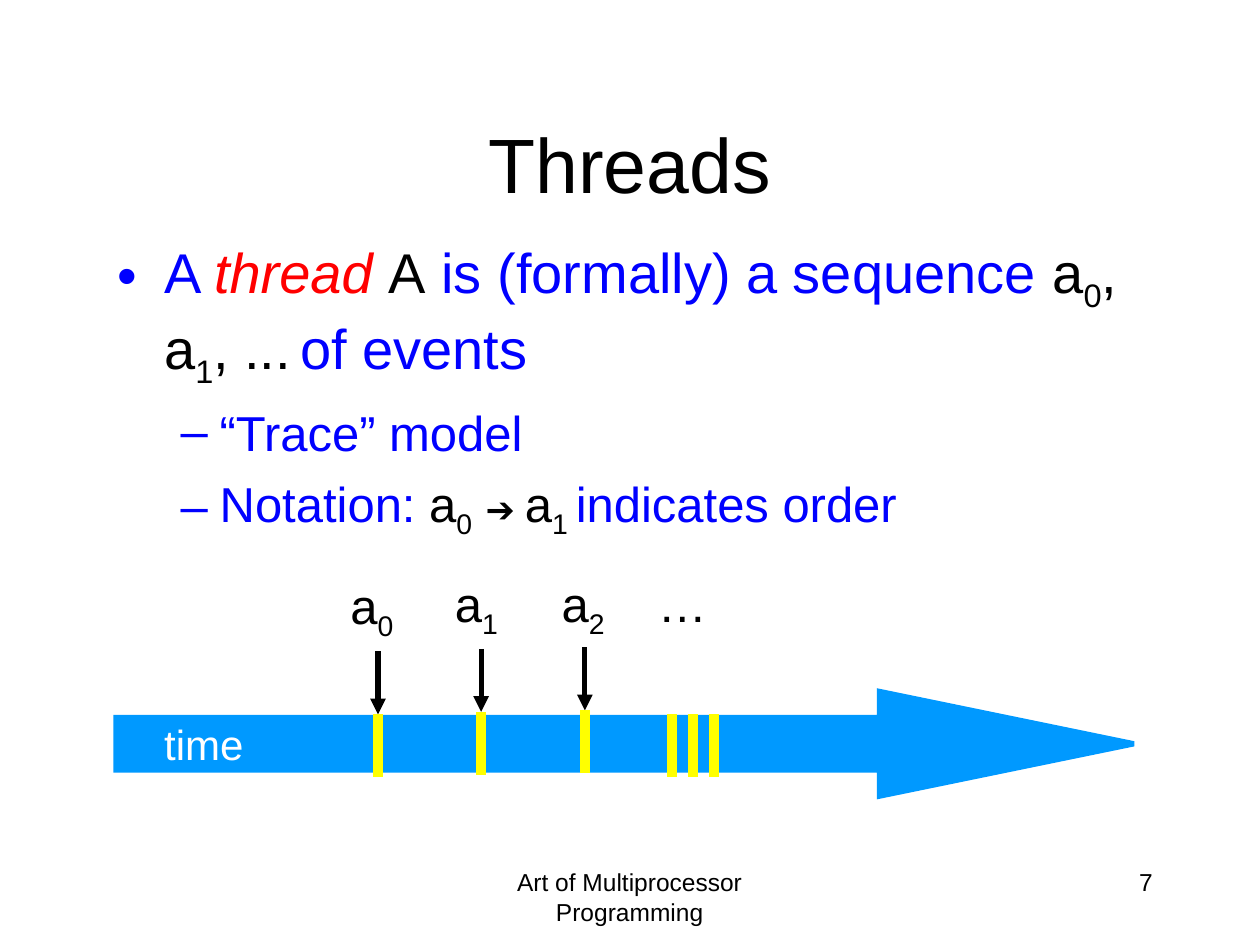
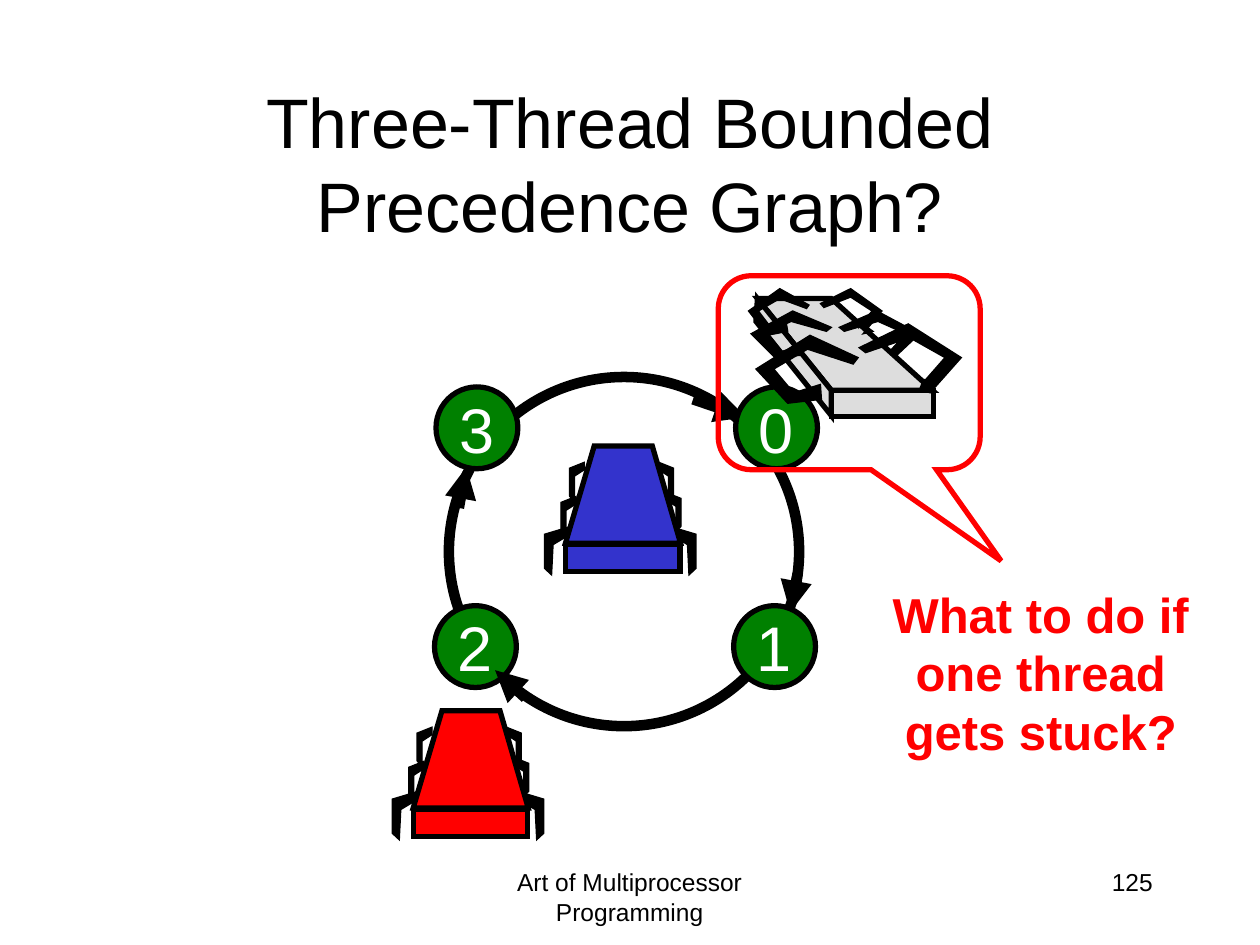
from lxml import etree
from pptx import Presentation
from pptx.dml.color import RGBColor
from pptx.enum.shapes import MSO_CONNECTOR, MSO_SHAPE
from pptx.enum.text import MSO_ANCHOR, PP_ALIGN
from pptx.oxml.ns import qn
from pptx.util import Cm, Pt

LEFT, CENTER, RIGHT = PP_ALIGN.LEFT, PP_ALIGN.CENTER, PP_ALIGN.RIGHT
TOP, MIDDLE = MSO_ANCHOR.TOP, MSO_ANCHOR.MIDDLE
STRAIGHT = MSO_CONNECTOR.STRAIGHT
OVAL, BOX = MSO_SHAPE.OVAL, MSO_SHAPE.RECTANGLE
TIME_ARROW, CALLOUT = MSO_SHAPE.RIGHT_ARROW, MSO_SHAPE.ROUNDED_RECTANGULAR_CALLOUT
LINE, OUTLINE = "line", "outline"


class Theme:
    font = "Arial"
    black, white, blue, red = "000000", "FFFFFF", "0000FF", "FF0000"
    time, tick, node = "0099FF", "FFFF00", "008000"
    indigo, grey = "3333CC", "DDDDDD"
    title, long_title, body, sub_body = 44, 40, 32, 28
    node_size, time_size, symbol, footer = 36, 24, 20, 14
    hairline, thin, thick = 0.75, 3, 6


def write_text(shape, paragraphs, size, color, align=LEFT, anchor=TOP, wrap=True):
    """Fill a shape; a paragraph is (bullet or None, [(text, format values), ...])."""
    frame = shape.text_frame
    frame.word_wrap, frame.vertical_anchor = wrap, anchor
    for number, (bullet, runs) in enumerate(paragraphs):
        paragraph = frame.paragraphs[0] if number == 0 else frame.add_paragraph()
        paragraph.alignment = align
        if number:
            paragraph.space_before = Pt(7)
        if bullet:
            mark, margin, hang = bullet
            properties = paragraph._p.get_or_add_pPr()
            properties.set("marL", str(int(Cm(margin))))
            properties.set("indent", str(int(Cm(-hang))))
            bullet_color = etree.SubElement(properties, qn("a:buClr"))
            etree.SubElement(bullet_color, qn("a:srgbClr"), val=color)
            etree.SubElement(properties, qn("a:buFont"), typeface=Theme.font)
            etree.SubElement(properties, qn("a:buChar"), char=mark)
        for text, changes in runs:
            values = {"name": Theme.font, "size": size, "color": color, **changes}
            run = paragraph.add_run()
            run.text = text
            run.font.color.rgb = RGBColor.from_string(values.pop("color"))
            values["size"] = Pt(values["size"])
            if values.pop("subscript", False):
                run._r.get_or_add_rPr().set("baseline", "-25000")
            for attribute, value in values.items():
                setattr(run.font, attribute, value)


def draw(slide, kind, geometry, line, width, fill=None, arrow=False):
    """Draw a line, a closed outline or a preset shape, measured in cm."""
    if kind == LINE:
        shape = slide.shapes.add_connector(STRAIGHT, *map(Cm, geometry))
    elif kind == OUTLINE:
        points = [(Cm(x), Cm(y)) for x, y in geometry]
        builder = slide.shapes.build_freeform(*points[0])
        builder.add_line_segments(points[1:], close=True)
        shape = builder.convert_to_shape()
    else:
        shape = slide.shapes.add_shape(kind, *map(Cm, geometry))
    shape.line.color.rgb = RGBColor.from_string(line)
    shape.line.width = Pt(width)
    line_element = shape.line._get_or_add_ln()
    etree.SubElement(line_element, qn("a:miter"), lim="800000")
    if kind == LINE:
        if arrow:
            etree.SubElement(line_element, qn("a:tailEnd"), type="triangle")
        etree.SubElement(shape._element.spPr, qn("a:effectLst"))
        return shape
    shape.shadow.inherit = False
    if fill:
        shape.fill.solid()
        shape.fill.fore_color.rgb = RGBColor.from_string(fill)
    else:
        shape.fill.background()
    return shape


presentation = Presentation()
presentation.slide_width, presentation.slide_height = Cm(25.4), Cm(19.05)

# Title, footer and page number of each slide
slides = []
for title, title_size, page in [
    ("Threads", Theme.title, "7"),
    ("Three-Thread Bounded Precedence Graph?", Theme.long_title, "125"),
]:
    slide = presentation.slides.add_slide(presentation.slide_layouts[6])
    slides.append(slide)
    for box, text, size, align, anchor in [
        ((8.67, 17.36, 8.05, 1.27), "Art of Multiprocessor Programming", Theme.footer, CENTER, TOP),
        ((18.21, 17.36, 5.28, 1.27), page, Theme.footer, RIGHT, TOP),
        ((1.9, 1.69, 21.59, 3.18), title, title_size, CENTER, MIDDLE),
    ]:
        write_text(slide.shapes.add_textbox(*map(Cm, box)), [(None, [(text, {})])],
                   size, Theme.black, align, anchor)
threads_slide, graph_slide = slides

# Threads: definition
black = {"color": Theme.black}
subscript = {**black, "subscript": True}
sub_size = {"size": Theme.sub_body}
sub_black, sub_subscript = {**black, **sub_size}, {**subscript, **sub_size}
bullet, dash = ("•", 0.95, 0.95), ("–", 2.07, 0.79)
definition = [
    (bullet, [
        ("A ", {}), ("thread ", {"color": Theme.red, "italic": True}), ("A", black),
        (" is (formally) a sequence ", {}), ("a", black), ("0", subscript),
        (", a", black), ("1", subscript), (", ...", black), (" ", subscript),
        ("of events", {}),
    ]),
    (dash, [("“Trace” model", sub_size)]),
    (dash, [
        ("Notation: ", sub_size), ("a", sub_black), ("0", sub_subscript), (" ", sub_black),
        ("➔ ", {**black, "size": Theme.symbol}), ("a", sub_black),
        ("1 ", sub_subscript), ("indicates order", sub_size),
    ]),
]
body = threads_slide.shapes.add_textbox(Cm(2.11), Cm(4.66), Cm(21.59), Cm(9.1))
write_text(body, definition, Theme.body, Theme.blue)

# Threads: time line
time_arrow = draw(threads_slide, TIME_ARROW, (2.34, 13.94, 20.52, 2.11),
                  Theme.time, Theme.thin, Theme.time)
time_arrow.adjustments[0], time_arrow.adjustments[1] = 0.5, 2.43
time_label = threads_slide.shapes.add_textbox(Cm(3.05), Cm(14.35), Cm(2.11), Cm(1.27))
write_text(time_label, [(None, [("time", {})])], Theme.time_size, Theme.white, RIGHT, wrap=False)

# Threads: events on the time line
tick_length = 1.27
ticks = [(13.55 + 0.42 * number, 14.4) for number in range(3)]
event_labels = [((13, 11.43, 1.5, 1.45), [("…", {})])]
for number, (x, arrow_top, label_left, label_top) in enumerate([
    (7.62, 13.13, 6.81, 11.48),
    (9.7, 13.08, 8.92, 11.43),
    (11.79, 13.05, 11.07, 11.43),
]):
    arrow_end = arrow_top + tick_length
    draw(threads_slide, LINE, (x, arrow_top, x, arrow_end),
         Theme.black, Theme.thin, arrow=True)
    ticks.append((x, arrow_end))
    event_labels.append(((label_left, label_top, 1.37, 1.6),
                         [("a", {}), (str(number), subscript)]))
for x, top in ticks:
    draw(threads_slide, LINE, (x, top, x, top + tick_length), Theme.tick, Theme.thick)
for box, runs in event_labels:
    write_text(threads_slide.shapes.add_textbox(*map(Cm, box)), [(None, runs)],
               Theme.sub_body, Theme.black, RIGHT, wrap=False)

# Graph: ring, nodes and the arrowheads that lie over them
draw(graph_slide, OVAL, (9.05, 7.6, 7.06, 7.04), Theme.black, Theme.thick)
node_diameter = 1.65
for label, left, top, ring_arrow in [
    ("1", 14.79, 12.21, (16.08, 11.56, 15.93, 12.34)),
    ("2", 8.76, 12.21, (10.59, 14.07, 9.98, 13.51)),
    ("3", 8.79, 7.8, (13.97, 8.05, 15.04, 8.41)),
    ("0", 14.83, 7.8, (9.25, 10.24, 9.4, 9.42)),
]:
    node = draw(graph_slide, OVAL, (left, top, node_diameter, node_diameter),
                Theme.black, Theme.thin, Theme.node)
    write_text(node, [(None, [(label, {})])], Theme.node_size, Theme.white,
               CENTER, MIDDLE, wrap=False)
    draw(graph_slide, LINE, ring_arrow, Theme.black, Theme.thick, arrow=True)

# Graph: running threads, each leg paired with its mirror image
long_leg = [(0, 0), (0.5, 0.15), (0.5, 0.84), (0.36, 0.97), (0.33, 0.36), (0.03, 0.18)]
short_leg = [(0, 0), (0.3, 0.12), (0.3, 0.68), (0.2, 0.79), (0.2, 0.28), (0, 0.15)]
legs = [  # outline, hip, sum of mirrored x values, drop of the left leg
    (long_leg, (2.13, 1.63), 2.21, 0),
    (short_leg, (2.03, 0.94), 2.24, 0.08),
    (short_leg, (1.88, 0.33), 2.26, 0),
]
back = [(0, 1.96), (0.58, 0), (1.75, 0), (2.32, 1.96)]
for left, top, color in [(8.33, 14.33, Theme.red), (11.4, 8.99, Theme.indigo)]:
    for leg, (hip_x, hip_y), mirror, drop in legs:
        right_leg = [(left + hip_x + x, top + hip_y + y) for x, y in leg]
        left_leg = [(2 * left + mirror - x, y + drop) for x, y in right_leg]
        for outline in (right_leg, left_leg):
            draw(graph_slide, OUTLINE, outline, Theme.black, Theme.hairline, Theme.black)
    draw(graph_slide, OUTLINE, [(left + x, top + y) for x, y in back],
         Theme.black, Theme.thin, color)
    draw(graph_slide, BOX, (left, top + 1.98, 2.31, 0.56), Theme.black, Theme.thin, color)

# Graph: stuck thread, body first and then its legs
stuck_top = [(15.27, 6.02), (16.76, 7.87), (18.8, 7.87), (16.76, 6.02)]
stuck_side = [(15.27, 6.02), (15.24, 6.48), (16.76, 8.38), (16.76, 7.87)]
draw(graph_slide, OUTLINE, stuck_top, Theme.black, Theme.thin, Theme.grey)
draw(graph_slide, BOX, (16.76, 7.87, 2.06, 0.53), Theme.black, Theme.thin, Theme.grey)
draw(graph_slide, OUTLINE, stuck_side, Theme.black, Theme.thin, Theme.grey)
stuck_legs = [
    [(16.54, 7.75), (16.56, 8.05), (15.88, 8.13), (15.24, 7.44), (16.33, 6.76),
     (17.3, 7.21), (17.2, 7.34), (16.28, 7.04), (15.6, 7.44), (16, 7.92)],
    [(16.15, 6.96), (16.18, 7.16), (15.62, 7.21), (15.14, 6.73), (15.98, 6.27),
     (16.76, 6.6), (16.66, 6.68), (15.95, 6.48), (15.42, 6.73), (15.75, 7.09)],
    [(15.85, 6.5), (15.88, 6.68), (15.47, 6.76), (15.09, 6.27), (15.72, 5.82),
     (16.31, 6.15), (16.26, 6.22), (15.72, 6.02), (15.29, 6.27), (15.54, 6.6)],
    [(17.86, 6.93), (17.93, 7.11), (18.03, 7.21), (18.54, 6.73), (17.68, 6.27),
     (16.92, 6.6), (17.02, 6.68), (17.7, 6.48), (18.26, 6.73), (17.93, 7.09)],
    [(17.32, 6.48), (17.6, 6.68), (17.4, 6.73), (17.78, 6.27), (17.15, 5.82),
     (16.54, 6.12), (16.61, 6.2), (17.15, 5.99), (17.58, 6.27), (17.32, 6.6)],
    [(18.67, 7.75), (18.59, 7.72), (18.54, 7.85), (18.75, 7.92), (19.38, 7.21),
     (18.31, 6.53), (17.32, 7.01), (17.45, 7.11), (18.34, 6.81), (19.05, 7.21),
     (18.62, 7.7), (18.67, 7.65), (18.52, 7.65)],
]
for leg in stuck_legs:
    draw(graph_slide, OUTLINE, leg, Theme.black, Theme.hairline, Theme.black)

# Graph: callout and question
callout = draw(graph_slide, CALLOUT, (14.48, 5.56, 5.28, 3.91), Theme.red, Theme.thin)
for index, value in enumerate((0.58, 0.97, 0.17)):
    callout.adjustments[index] = value
question = graph_slide.shapes.add_textbox(Cm(17.17), Cm(11.65), Cm(7.62), Cm(3.81))
write_text(question, [(None, [("What to do if one thread gets stuck?", {"bold": True})])],
           Theme.sub_body, Theme.red, CENTER)

presentation.save("out.pptx")
